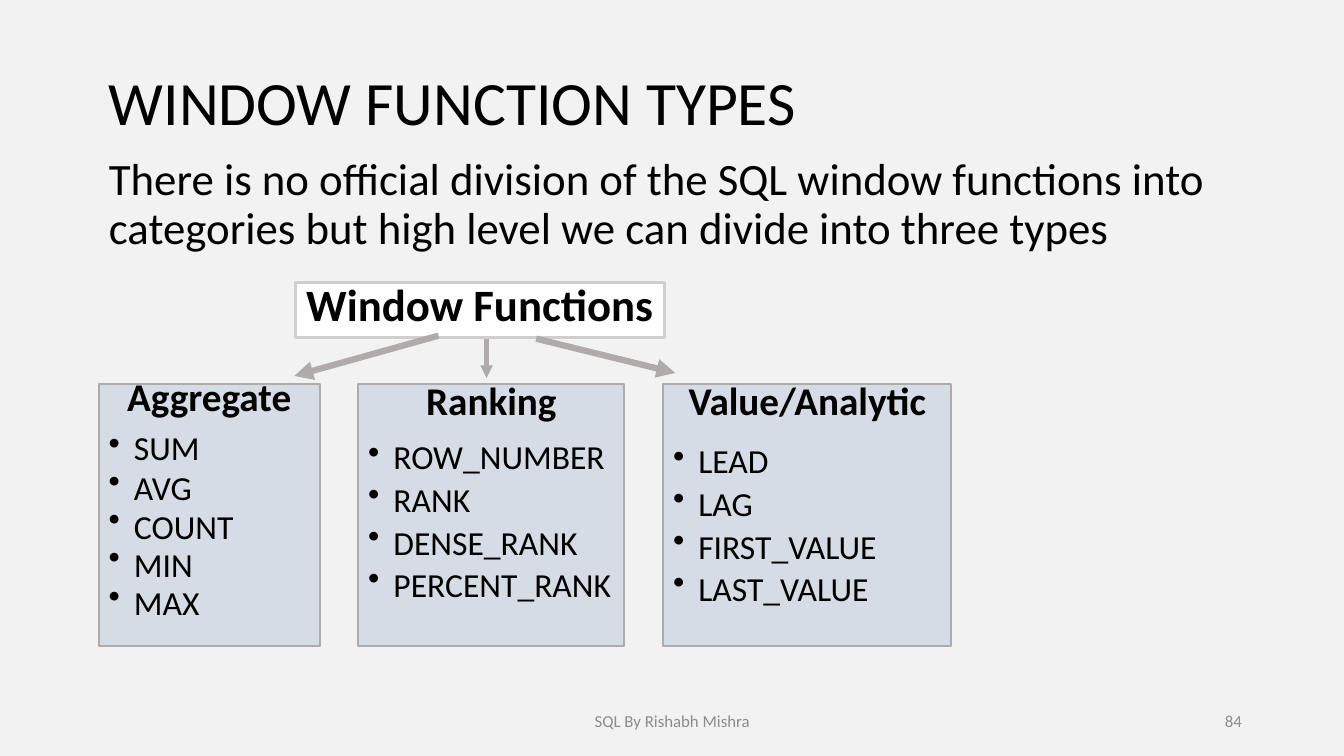
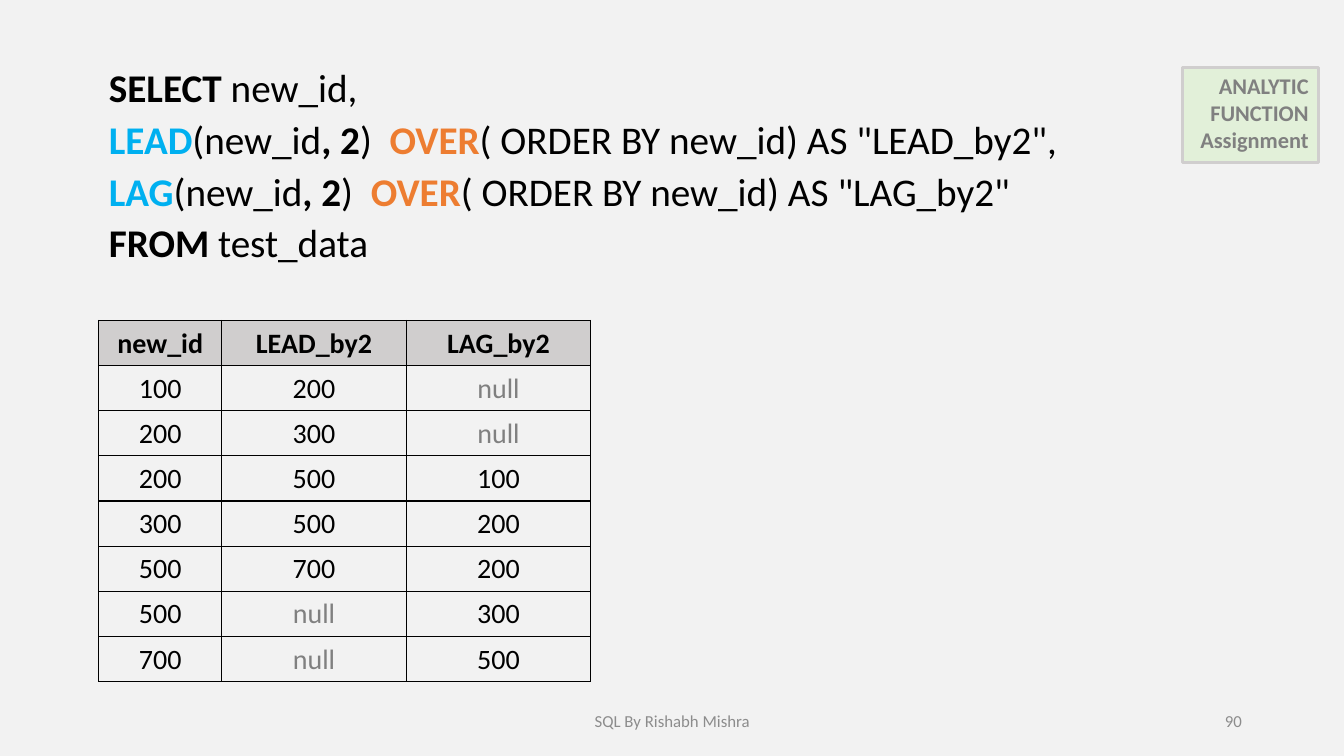
import dataclasses

import lxml.etree
import pptx
import pptx.dml.color
import pptx.enum.shapes
import pptx.enum.text
import pptx.oxml.ns
import pptx.util

ALIGN = pptx.enum.text.PP_ALIGN
ANCHOR = pptx.enum.text.MSO_ANCHOR
FIT = pptx.enum.text.MSO_AUTO_SIZE
qn = pptx.oxml.ns.qn


@dataclasses.dataclass(frozen=True)
class Theme:
    font: str = "Calibri"
    paper: str = "F2F2F2"
    ink: str = "000000"
    muted: str = "808080"
    footer: str = "8C8C8C"
    white: str = "FFFFFF"
    card: str = "D6DCE5"
    edge: str = "D0CECE"
    line: str = "AFABAB"
    badge: str = "E2F0D9"
    function: str = "00B0F0"
    keyword: str = "ED7D31"
    title_size: int = 44
    lead_size: int = 32
    head_size: int = 28
    item_size: int = 24
    cell_size: int = 20
    badge_size: int = 16
    footer_size: int = 12


T = Theme()


def rgb(colour):
    return pptx.dml.color.RGBColor.from_string(colour)


def assign(target, values):
    for name, value in values.items():
        setattr(target, name, value)


def para(*runs, size, colour=T.ink, bold=False, bullet=None, **fmt):
    """Describe a paragraph; a run is a string or (text, bold, colour)."""
    spans = [(r, bold, colour) if isinstance(r, str) else r for r in runs]
    return {"runs": spans, "size": size, "bullet": bullet, "fmt": fmt}


class Deck:
    """Holds the style and current slide; boxes are percentages of the slide."""

    MARGIN = 7.35
    BODY_WIDTH = 86.63
    FOOTER = "SQL By Rishabh Mishra"

    def __init__(self):
        self.prs = pptx.Presentation()
        self.prs.slide_width = pptx.util.Inches(13.33)
        self.prs.slide_height = pptx.util.Inches(7.5)
        fill = self.prs.slide_master.background.fill
        fill.solid()
        fill.fore_color.rgb = rgb(T.paper)
        self.s = None

    def x(self, share):
        return round(self.prs.slide_width * share / 100)

    def y(self, share):
        return round(self.prs.slide_height * share / 100)

    def box(self, left, top, width, height):
        return self.x(left), self.y(top), self.x(width), self.y(height)

    def set_text(self, tf, paras, anchor=ANCHOR.TOP, fit=FIT.NONE):
        assign(tf, {"word_wrap": True, "vertical_anchor": anchor, "auto_size": fit})
        for i, item in enumerate(paras):
            p = tf.add_paragraph() if i else tf.paragraphs[0]
            self.mark(p, item["bullet"])
            before = pptx.util.Pt(item["fmt"].get("space_before", 0) if i else 0)
            assign(p, {**item["fmt"], "space_before": before})
            for text, bold, colour in item["runs"]:
                r = p.add_run()
                r.text = text
                assign(r.font, {"name": T.font, "bold": bold,
                                "size": pptx.util.Pt(item["size"])})
                r.font.color.rgb = rgb(colour)

    def mark(self, p, bullet):
        """Give a paragraph a hanging bullet, or none."""
        pPr = p._p.get_or_add_pPr()
        indent = pptx.util.Inches(0.25 if bullet else 0)
        pPr.set("marL", str(indent))
        pPr.set("indent", str(-indent))
        if bullet:
            lxml.etree.SubElement(pPr, qn("a:buChar"), char=bullet)
        else:
            lxml.etree.SubElement(pPr, qn("a:buNone"))

    def slide(self, number, title=None):
        self.s = self.prs.slides.add_slide(self.prs.slide_layouts[1])
        sp = self.s.shapes.title
        if title:
            self.place(sp, (self.MARGIN, 4.53, 85.8, 18.93))
            self.set_text(sp.text_frame, [para(title, size=T.title_size,
                          alignment=ALIGN.LEFT, line_spacing=0.9)], ANCHOR.MIDDLE)
        else:
            sp._element.getparent().remove(sp._element)
        self.footer(self.FOOTER, 33.15, 33.75, ALIGN.CENTER)
        self.footer(str(number), 70.65, 22.5, ALIGN.RIGHT)

    def footer(self, text, left, width, alignment):
        sp = self.s.shapes.add_textbox(*self.box(left, 92.67, width, 5.33))
        self.set_text(sp.text_frame, [para(text, size=T.footer_size, colour=T.footer,
                                           alignment=alignment)], ANCHOR.MIDDLE)

    def place(self, sp, box):
        assign(sp, dict(zip(("left", "top", "width", "height"), self.box(*box))))

    def body(self, top, height, paras):
        sp = self.s.placeholders[1]
        self.place(sp, (self.MARGIN, top, self.BODY_WIDTH, height))
        self.set_text(sp.text_frame, paras)

    def panel(self, box, fill, line, weight, paras, fit=FIT.NONE):
        sp = self.s.shapes.add_shape(
            pptx.enum.shapes.MSO_SHAPE.RECTANGLE, *self.box(*box))
        sp.shadow.inherit = False
        sp.fill.solid()
        sp.fill.fore_color.rgb = rgb(fill)
        sp.line.color.rgb = rgb(line)
        sp.line.width = pptx.util.Pt(weight)
        self.set_text(sp.text_frame, paras, fit=fit)

    def card(self, left, width, head, items, head_gap, first_gap, item_gap):
        """Draw a headed list; the gaps are line spacings."""
        paras = [para(head, size=T.head_size, bold=True,
                      alignment=ALIGN.CENTER, line_spacing=head_gap)]
        paras += [para(item, size=T.item_size, bullet="•", alignment=ALIGN.LEFT,
                       space_before=10, line_spacing=item_gap if i else first_gap)
                  for i, item in enumerate(items)]
        self.panel((left, 50.8, width, 34.67), T.card, T.line, 1.5, paras)

    def arrow(self, x1, y1, x2, y2, weight):
        c = self.s.shapes.add_connector(
            pptx.enum.shapes.MSO_CONNECTOR.STRAIGHT,
            self.x(x1), self.y(y1), self.x(x2), self.y(y2))
        c.line.color.rgb = rgb(T.line)
        c.line.width = pptx.util.Pt(weight)
        spPr = c._element.spPr
        lxml.etree.SubElement(spPr.find(qn("a:ln")), qn("a:tailEnd"), type="triangle")
        lxml.etree.SubElement(spPr, qn("a:effectLst"))

    def table(self, top, widths, row_height, rows):
        box = self.box(self.MARGIN, top, sum(widths), row_height * len(rows))
        table = self.s.shapes.add_table(len(rows), len(widths), *box).table
        assign(table, {"first_row": False, "horz_banding": False})
        for column, width in zip(table.columns, widths):
            column.width = self.x(width)
        for i, values in enumerate(rows):
            table.rows[i].height = self.y(row_height)
            for j, value in enumerate(values):
                self.cell(table.cell(i, j), value, header=i == 0)

    def cell(self, cell, value, header):
        inset = pptx.util.Inches(0.01)
        assign(cell, {"margin_left": inset, "margin_right": inset,
                      "margin_top": inset, "margin_bottom": 0,
                      "vertical_anchor": ANCHOR.MIDDLE})
        p = cell.text_frame.paragraphs[0]
        p.alignment = ALIGN.CENTER
        r = p.add_run()
        r.text = value
        assign(r.font, {"name": T.font, "size": pptx.util.Pt(T.cell_size),
                        "bold": header})
        r.font.color.rgb = rgb(T.muted if value == "null" else T.ink)
        tcPr = cell._tc.get_or_add_tcPr()
        for side in ("a:lnL", "a:lnR", "a:lnT", "a:lnB"):
            ln = lxml.etree.SubElement(tcPr, qn(side), w=str(pptx.util.Pt(1)))
            fill = lxml.etree.SubElement(ln, qn("a:solidFill"))
            lxml.etree.SubElement(fill, qn("a:srgbClr"), val=T.ink)
        if header:
            cell.fill.solid()
            cell.fill.fore_color.rgb = rgb(T.edge)
        else:
            cell.fill.background()


def function_types(deck):
    deck.slide(84, "WINDOW FUNCTION TYPES")
    deck.body(20.13, 14.93, [para(
        "There is no official division of the SQL window functions into "
        "categories but high level we can divide into three types",
        size=T.lead_size, line_spacing=0.9)])
    deck.arrow(36.2, 43.2, 36.2, 50, 3)
    deck.panel((21.98, 37.33, 27.45, 7.33), T.white, T.edge, 2.25, [para(
        "Window Functions", size=T.lead_size, bold=True,
        alignment=ALIGN.CENTER, line_spacing=0.8)])
    cards = [
        (16.43, "Aggregate", "SUM AVG COUNT MIN MAX", 0.6, 0.9, 0.6),
        (19.8, "Ranking", "ROW_NUMBER RANK DENSE_RANK PERCENT_RANK", 0.7, 1.0, 0.7),
        (21.45, "Value/Analytic", "LEAD LAG FIRST_VALUE LAST_VALUE", 0.7, 1.1, 0.7),
    ]
    left, gap = deck.MARGIN, 2.88
    for width, head, items, *gaps in cards:
        deck.card(left, width, head, items.split(), *gaps)
        left += width + gap
    deck.arrow(32.63, 44.4, 21.9, 49.73, 4.5)
    deck.arrow(39.9, 44.8, 50.25, 49.33, 4.5)


def shifted_column(name, end):
    """Return the runs of one query line that shifts new_id by two rows."""
    return ((name, True, T.function), "(new_id", (", 2", True, T.ink), ")  ",
            ("OVER", True, T.keyword),
            f'( ORDER BY new_id) AS "{name}_by2"{end}')


def lead_and_lag(deck):
    deck.slide(90)
    query = [
        (("SELECT ", True, T.ink), "new_id,"),
        shifted_column("LEAD", ","),
        shifted_column("LAG", ""),
        (("FROM ", True, T.ink), "test_data"),
    ]
    deck.body(8.93, 28.67, [para(*runs, size=T.head_size, line_spacing=0.8,
                                 space_before=10) for runs in query])
    deck.table(42.4, (9.15, 13.73, 13.73), 5.97, [
        ("new_id", "LEAD_by2", "LAG_by2"),
        ("100", "200", "null"),
        ("200", "300", "null"),
        ("200", "500", "100"),
        ("300", "500", "200"),
        ("500", "700", "200"),
        ("500", "null", "300"),
        ("700", "null", "500"),
    ])
    deck.panel((87.98, 8.93, 10.13, 12.53), T.badge, T.edge, 2.25, [
        para(word, size=T.badge_size, colour=T.muted, bold=True,
             alignment=ALIGN.RIGHT)
        for word in ("ANALYTIC", "FUNCTION", "Assignment")],
        FIT.SHAPE_TO_FIT_TEXT)


def main():
    deck = Deck()
    function_types(deck)
    lead_and_lag(deck)
    deck.prs.save("out.pptx")


if __name__ == "__main__":
    main()
